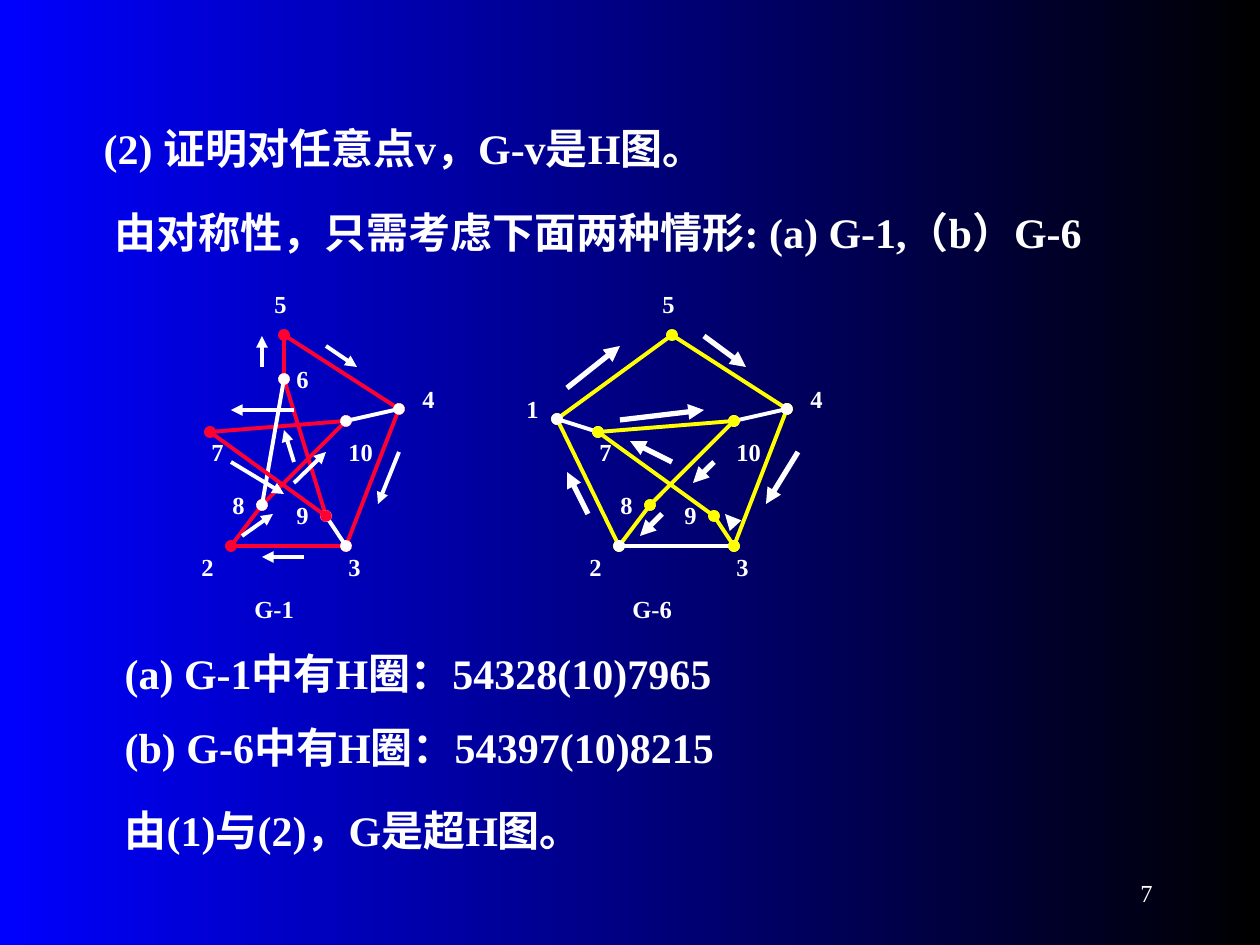
from dataclasses import dataclass

from lxml import etree
from pptx import Presentation
from pptx import util as u
from pptx.dml.color import RGBColor
from pptx.enum import shapes, text
from pptx.oxml.ns import qn

SCALE = 914400 / 126  # EMU per px


@dataclass(frozen=True)
class Theme:
    font: str = "Times New Roman"
    white: str = "FFFFFF"
    red: str = "FF0033"
    yellow: str = "FFFF00"
    bg: tuple = ("0000FF", "000000")
    body: int = 24
    label: int = 14
    edge: float = 2.25


T = Theme()
BODY_INDENT = 49
GRAPH_GAP = 388  # from the first graph to the second

# Vertex places and label corners, shared by both graphs
VERTICES = {1: (169, 419), 2: (231, 546), 3: (346, 546), 4: (399, 409),
            5: (284, 335), 6: (284, 379), 7: (210, 432), 8: (262, 505),
            9: (326, 516), 10: (346, 421)}
LABELS = {1: (126, 388), 2: (189, 546), 3: (336, 546), 4: (410, 378),
          5: (262, 283), 6: (284, 358), 7: (199, 431), 8: (220, 484),
          9: (284, 494), 10: (336, 431)}

# Edges as (from, to, colour), later ones on top
EDGES_G1 = [(6, 9, T.red), (10, 8, T.red), (8, 2, T.red), (7, 10, T.red),
            (5, 4, T.red), (4, 3, T.red), (2, 3, T.red), (5, 6, T.red),
            (10, 4, T.white), (9, 3, T.white), (6, 8, T.white), (7, 9, T.red)]
EDGES_G6 = [(8, 2, T.yellow), (7, 10, T.yellow), (5, 1, T.yellow),
            (5, 4, T.yellow), (1, 2, T.yellow), (4, 3, T.yellow),
            (2, 3, T.white), (1, 7, T.white), (10, 4, T.white),
            (9, 3, T.yellow), (7, 9, T.yellow), (10, 8, T.yellow)]

# Direction arrows as x1, y1, x2, y2
ARROWS_G1 = [(326, 346, 357, 367), (399, 452, 378, 504), (304, 557, 262, 557),
             (242, 536, 273, 514), (294, 483, 326, 452), (294, 410, 231, 410),
             (231, 462, 284, 494), (294, 462, 284, 430), (262, 367, 262, 336)]
ARROWS_G6 = [(704, 336, 746, 367), (798, 452, 766, 504), (735, 525, 725, 514),
             (672, 462, 630, 441), (620, 420, 704, 410), (714, 462, 693, 483),
             (662, 514, 640, 536), (588, 514, 567, 472), (567, 388, 620, 346)]

LINES = [(42, 116, "(2) 证明对任意点v，G-v是H图。"),
         (53, 200, "由对称性，只需考虑下面两种情形: (a) G-1,（b）G-6"),
         (63, 641, "(a) G-1中有H圈：54328(10)7965"),
         (63, 715, "(b) G-6中有H圈：54397(10)8215"),
         (63, 798, "由(1)与(2)，G是超H图。")]


def px(n):
    return u.Emu(round(n * SCALE))


def add_text(parent, box, words, size=T.label, bold=True, indent=0, right=False):
    sp = parent.add_textbox(*map(px, box))
    tf = sp.text_frame
    tf.word_wrap = True
    tf.margin_left = u.Inches(0.1) + px(indent)
    p = tf.paragraphs[0]
    if right:
        p.alignment = text.PP_ALIGN.RIGHT
        tf.vertical_anchor = text.MSO_ANCHOR.MIDDLE
    r = p.add_run()
    r.text = words
    r.font.name, r.font.size, r.font.bold = T.font, u.Pt(size), bold
    r.font.color.rgb = RGBColor.from_string(T.white)


def add_line(parent, ends, color, width, head=None, tail=None):
    sp = parent.add_connector(shapes.MSO_CONNECTOR.STRAIGHT, *map(px, ends))
    sp.line.color.rgb = RGBColor.from_string(color)
    sp.line.width = u.Pt(width)
    ln = sp.line._get_or_add_ln()
    for tag, kind in (("a:headEnd", head), ("a:tailEnd", tail)):
        if kind:
            etree.SubElement(ln, qn(tag)).set("type", kind)
    etree.SubElement(sp._element.spPr, qn("a:effectLst"))


def add_graph(s, dx, missing, edges, arrows, arrow_width, caption_x):
    group = s.shapes.add_group_shape().shapes
    # Edges with round vertices
    for a, b, color in edges:
        (x1, y1), (x2, y2) = VERTICES[a], VERTICES[b]
        add_line(group, (x1 + dx, y1, x2 + dx, y2), color, T.edge, "oval", "oval")
    # Vertex numbers
    for n, (x, y) in LABELS.items():
        if n != missing:
            add_text(group, (x + dx, y, 63 if n > 9 else 44, 43), str(n))
    # Direction of the cycle
    for ends in arrows:
        add_line(group, ends, T.white, arrow_width, tail="triangle")
    add_text(group, (caption_x, 588, 158, 43), f"G-{missing}")


def set_background(s):
    fill = s.background.fill
    fill.gradient()
    fill.gradient_angle = 0
    for stop, color, place in zip(fill.gradient_stops, T.bg, (0, 1)):
        stop.color.rgb = RGBColor.from_string(color)
        stop.position = place


def main():
    prs = Presentation()
    prs.slide_width, prs.slide_height = px(1260), px(945)
    s = prs.slides.add_slide(prs.slide_layouts[6])
    set_background(s)
    # Statement and conclusions
    for x, y, words in LINES:
        add_text(s.shapes, (x, y, 1113, 72), words, T.body, indent=BODY_INDENT)
    # The two graphs
    add_graph(s, 0, 1, EDGES_G1, ARROWS_G1, 2.25, 242)
    add_graph(s, GRAPH_GAP, 6, EDGES_G6, ARROWS_G6, 3, 620)
    # Page number
    add_text(s.shapes, (903, 861, 262, 63), "7", bold=False, right=True)
    prs.save("out.pptx")


if __name__ == "__main__":
    main()
